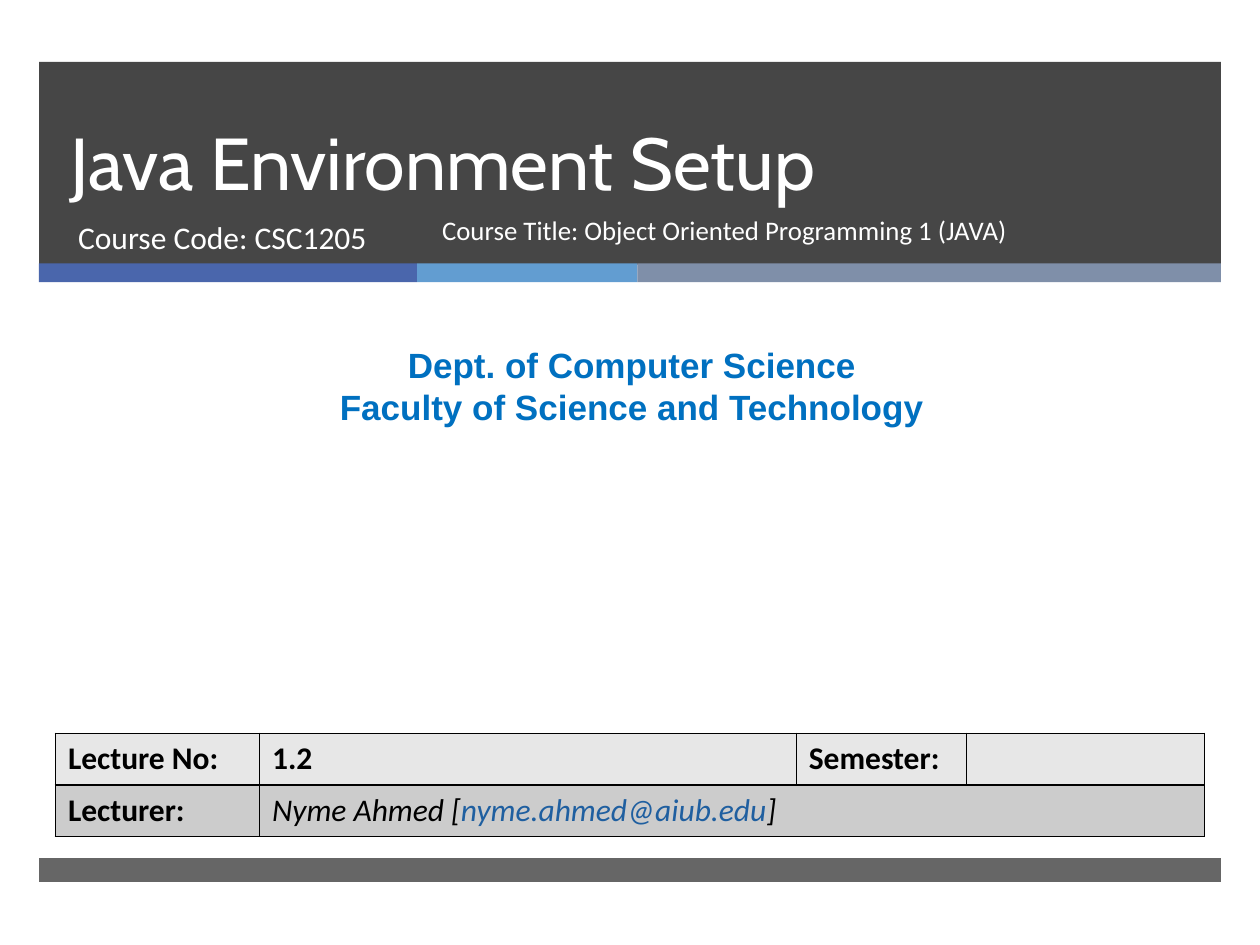
from lxml.etree import SubElement
from pptx import Presentation
from pptx.dml.color import RGBColor
from pptx.enum.shapes import MSO_SHAPE
from pptx.enum.text import MSO_ANCHOR, MSO_AUTO_SIZE, PP_ALIGN
from pptx.oxml.ns import qn
from pptx.util import Inches, Pt

# Content
TITLE = "Java Environment Setup"
COURSE_CODE = "Course Code: CSC1205"
COURSE_TITLE = "Course Title: Object Oriented Programming 1 (JAVA)"
DEPARTMENT = "Dept. of Computer Science\nFaculty of Science and Technology"
# Each cell is a list of (text, colour, bold, italic) spans
LECTURE_ROWS = [
    [[("Lecture No:", "black", True, False)], [("1.2", "black", True, False)],
     [("Semester:", "black", True, False)], []],
    [[("Lecturer:", "black", True, False)],
     [("Nyme Ahmed [", "black", False, True),
      ("nyme.ahmed@aiub.edu", "link", False, True),
      ("]", "black", False, True)], [], []],
]
COLORS = {
    "white": "FFFFFF", "black": "000000", "dark": "262626", "link": "1F5FA0",
    "heading": "0070C0", "indigo": "4A66AC", "sky": "629DD1", "slate": "7F8FA9",
    "light_row": "E7E7E7", "dark_row": "CCCCCC",
}
STRIPES = [("indigo", 3), ("sky", 1.75), ("slate", 4.63)]
COLUMN_WIDTHS = [1.62, 4.26, 1.35, 1.89]
ROW_FILLS = ["light_row", "dark_row"]
ROW_HEIGHT = 0.41
MARGIN, BAND_WIDTH = 0.31, 9.38


def rgb(name):
    return RGBColor.from_string(COLORS[name])


def add_band(page, left, top, width, height, color, opacity=100):
    band = page.shapes.add_shape(
        MSO_SHAPE.RECTANGLE, Inches(left), Inches(top), Inches(width), Inches(height))
    band.shadow.inherit = False
    band.line.fill.background()
    band.fill.solid()
    band.fill.fore_color.rgb = rgb(color)
    if opacity < 100:
        color_node = band.element.spPr.find(qn("a:solidFill"))[0]
        SubElement(color_node, qn("a:alpha"), val=str(opacity * 1000))


def style(span, size, face, color, bold=False, italic=False):
    span.font.size = Pt(size)
    span.font.name = face
    span.font.color.rgb = rgb(color)
    span.font.bold = bold
    span.font.italic = italic


def fill_text(box, place, text, size, face, color, bold=False,
              align=PP_ALIGN.LEFT, anchor=MSO_ANCHOR.TOP, spacing=None):
    box.left, box.top, box.width, box.height = map(Inches, place)
    frame = box.text_frame
    frame.text = text
    frame.word_wrap = True
    frame.auto_size = MSO_AUTO_SIZE.NONE
    frame.vertical_anchor = anchor
    for paragraph in frame.paragraphs:
        paragraph.alignment = align
        paragraph.space_before = Pt(0)
        paragraph.line_spacing = spacing
        for span in paragraph.runs:
            style(span, size, face, color, bold)


def add_borders(cell):
    properties = cell._tc.get_or_add_tcPr()
    for position, side in enumerate(("lnL", "lnR", "lnT", "lnB")):
        line = SubElement(properties, qn(f"a:{side}"), w=str(Pt(1)))
        SubElement(SubElement(line, qn("a:solidFill")), qn("a:srgbClr"), val=COLORS["black"])
        properties.insert(position, line)


def add_lecture_table(page):
    table = page.shapes.add_table(
        len(LECTURE_ROWS), len(COLUMN_WIDTHS), Inches(0.44), Inches(5.82),
        Inches(sum(COLUMN_WIDTHS)), Inches(ROW_HEIGHT * len(LECTURE_ROWS))).table
    for column, width in zip(table.columns, COLUMN_WIDTHS):
        column.width = Inches(width)
    for r, row in enumerate(LECTURE_ROWS):
        table.rows[r].height = Inches(ROW_HEIGHT)
        for c, spans in enumerate(row):
            cell = table.cell(r, c)
            cell.fill.solid()
            cell.fill.fore_color.rgb = rgb(ROW_FILLS[r])
            add_borders(cell)
            for text, color, bold, italic in spans:
                span = cell.text_frame.paragraphs[0].add_run()
                span.text = text
                style(span, 18, "Calibri", color, bold, italic)
    table.cell(1, 1).merge(table.cell(1, 3))


def main():
    deck = Presentation()
    deck.slide_width, deck.slide_height = Inches(10), Inches(7.5)
    page = deck.slides.add_slide(deck.slide_layouts[0])
    title, subtitle = page.placeholders

    # Header band, colour stripes and footer band
    add_band(page, MARGIN, 0.49, BAND_WIDTH, 1.61, "dark", 85)
    left = MARGIN
    for color, width in STRIPES:
        add_band(page, left, 2.09, width, 0.15, color)
        left += width
    add_band(page, MARGIN, 6.81, BAND_WIDTH, 0.19, "dark", 70)

    # Header text, brought in front of the bands
    for box in (title, subtitle):
        page.shapes.element.append(box.element)
    fill_text(title, (0.46, 0.49, 8.54, 1.19), TITLE, 42, "Cabin", "white",
              anchor=MSO_ANCHOR.BOTTOM, spacing=Pt(46))
    fill_text(subtitle, (0.52, 1.68, 3.05, 0.53), COURSE_CODE, 18, "Calibri", "white")

    # Department and course title
    department = page.shapes.add_textbox(0, 0, 0, 0)
    fill_text(department, (0.08, 2.68, 9.87, 0.77), DEPARTMENT, 20, "Arial", "heading",
              bold=True, align=PP_ALIGN.CENTER)
    course = page.shapes.add_textbox(0, 0, 0, 0)
    fill_text(course, (3.41, 1.68, 4.78, 0.53), COURSE_TITLE, 15.3, "Calibri", "white",
              spacing=0.9)

    add_lecture_table(page)
    deck.save("out.pptx")


if __name__ == "__main__":
    main()
